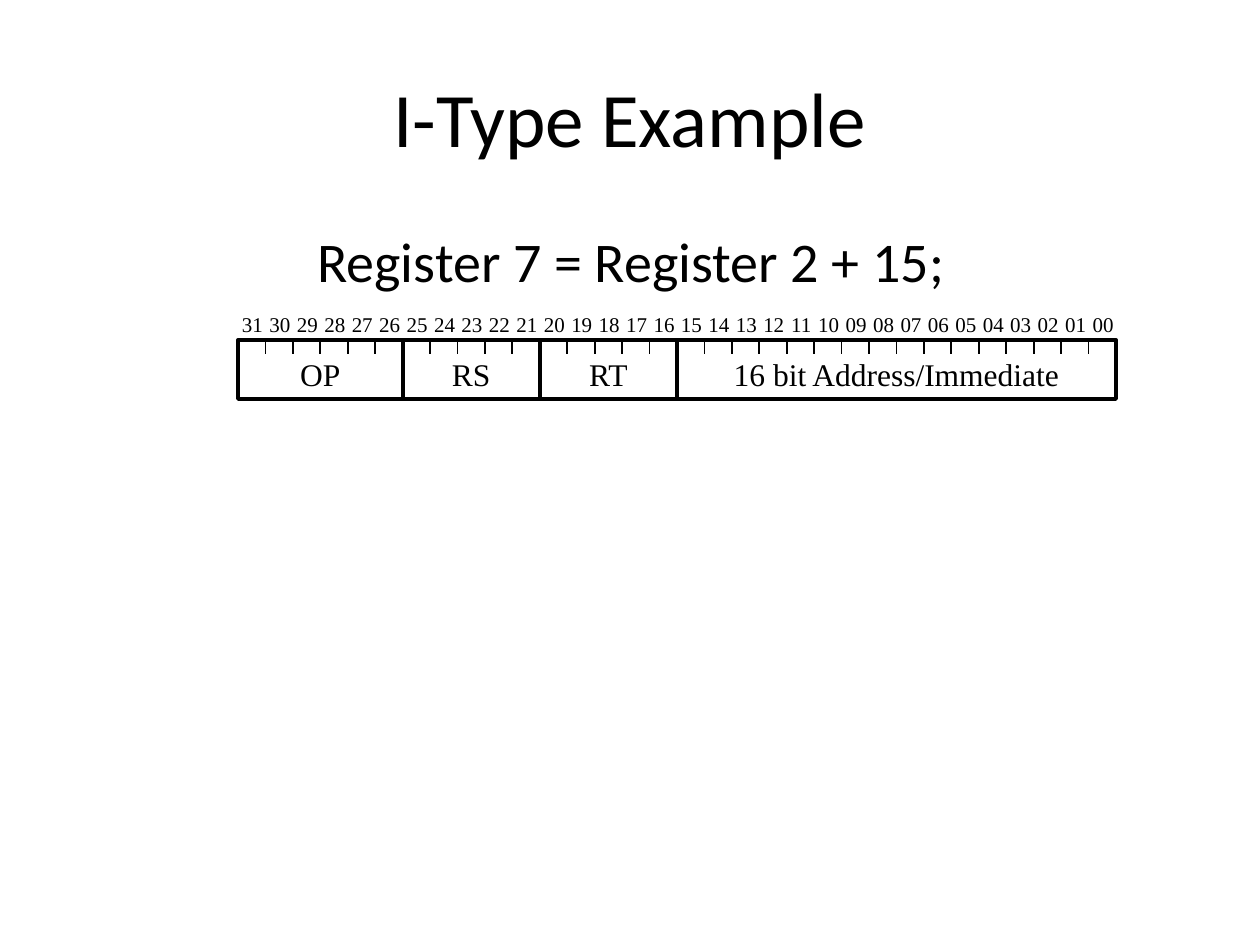
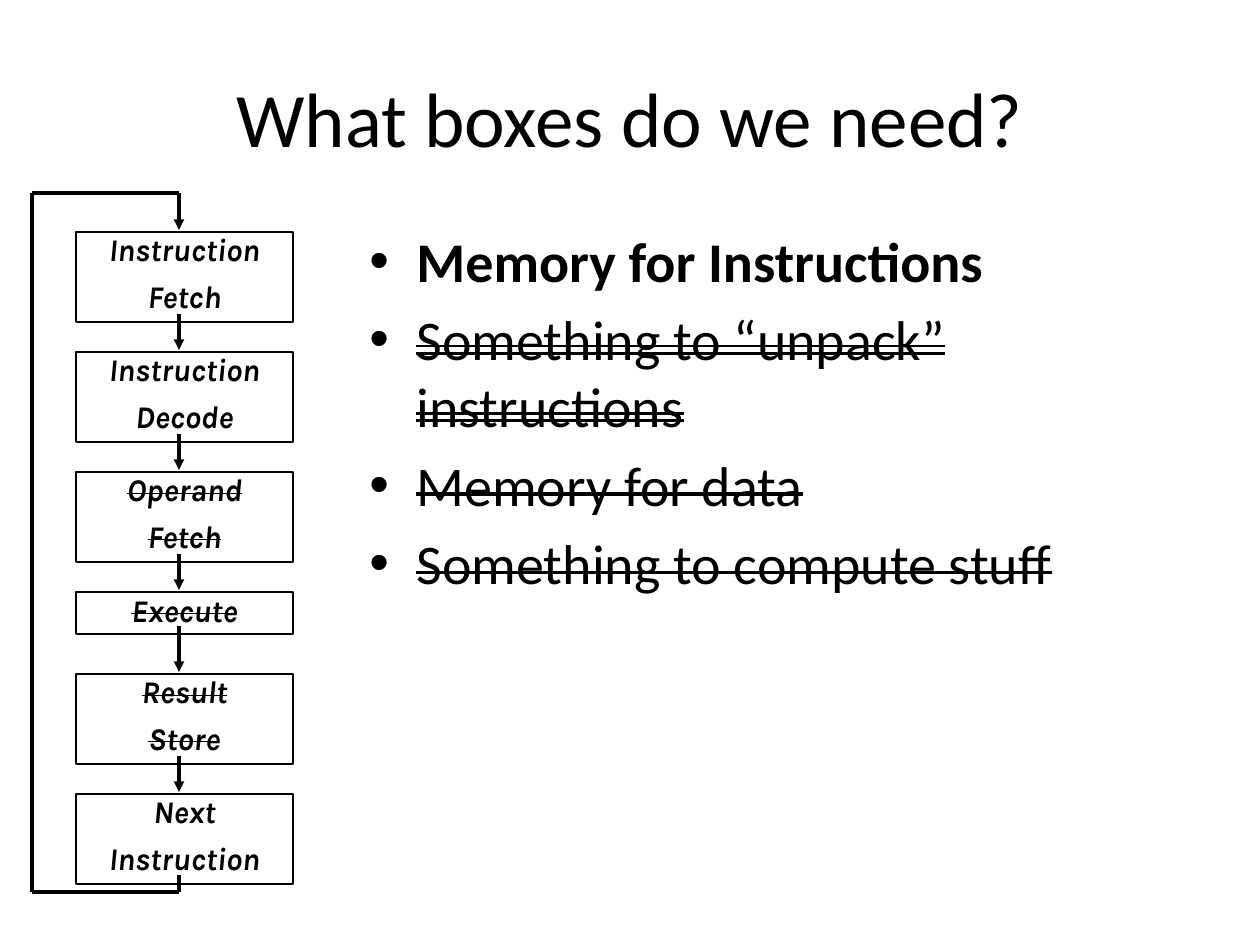
"""Build two slides: an I-type instruction layout and the instruction cycle."""
from itertools import accumulate, pairwise

from lxml.etree import SubElement
from pptx import Presentation
from pptx.dml.color import RGBColor
from pptx.enum.shapes import MSO_CONNECTOR as Connector, MSO_SHAPE as Shape
from pptx.enum.text import MSO_ANCHOR as Anchor, PP_ALIGN as Align
from pptx.oxml.ns import qn
from pptx.util import Pt

EMU_PER_PX = 914400 / 126
COLOURS = {"ink": "000000", "paper": "FFFFFF"}
BODY = {"name": "Calibri", "size": Pt(32)}
TITLE = {"name": "Calibri", "size": Pt(44)}
BIT = {"name": "Times New Roman", "size": Pt(12)}
FIELD = {"name": "Times New Roman", "size": Pt(18)}
STAGE = {"name": "Karla", "size": Pt(18), "bold": True, "italic": True}

FIELDS = [("OP", 6), ("RS", 5), ("RT", 5), ("16 bit Address/Immediate", 16)]
STAGES = [
    (["Instruction", "Fetch"], None),
    (["Instruction", "Decode"], None),
    (["Operand", "Fetch"], "sngStrike"),
    (["Execute"], "sngStrike"),
    (["Result", "Store"], "sngStrike"),
    (["Next", "Instruction"], None),
]
NEEDS = [
    ("Memory for Instructions", {"bold": True}, None),
    ("Something to “unpack” instructions", {}, "dblStrike"),
    ("Memory for data", {}, "sngStrike"),
    ("Something to compute stuff", {}, "sngStrike"),
]


def px(length):
    """Turn pixels into EMU."""
    return round(length * EMU_PER_PX)


def colour(name):
    """Return the named colour."""
    return RGBColor.from_string(COLOURS[name])


def set_attributes(target, values):
    """Set each attribute of the target from a dict."""
    for name, value in values.items():
        setattr(target, name, value)


def write(paragraph, text, font, strike=None):
    """Add a formatted run to a paragraph."""
    run = paragraph.add_run()
    run.text = text
    set_attributes(run.font, font)
    run.font.color.rgb = colour("ink")
    if strike:
        run.font._element.set("strike", strike)


def add_paragraph(frame, index, layout):
    """Return the paragraph at the index, formatted, with space only between paragraphs."""
    paragraph = frame.add_paragraph() if index else frame.paragraphs[0]
    set_attributes(paragraph, layout)
    if not index:
        paragraph.space_before = Pt(0)
    return paragraph


def add_title_slide(presentation, title):
    """Add a title-only slide."""
    slide = presentation.slides.add_slide(presentation.slide_layouts[5])
    shape = slide.shapes.title
    set_attributes(shape, {"left": px(63), "top": px(38), "width": px(1134), "height": px(157)})
    shape.text_frame.vertical_anchor = Anchor.MIDDLE
    paragraph = shape.text_frame.paragraphs[0]
    paragraph.alignment = Align.CENTER
    write(paragraph, title, TITLE)
    return slide


def add_label(slide, bounds, text, font, align=Align.CENTER, wrap=True):
    """Add a one-paragraph text box."""
    frame = slide.shapes.add_textbox(*map(px, bounds)).text_frame
    frame.word_wrap = wrap
    write(add_paragraph(frame, 0, {"alignment": align}), text, font)


def add_box(slide, bounds, width, fill=None):
    """Add an outlined rectangle."""
    shape = slide.shapes.add_shape(Shape.RECTANGLE, *map(px, bounds))
    shape.shadow.inherit = False
    if fill:
        shape.fill.solid()
        shape.fill.fore_color.rgb = colour(fill)
    else:
        shape.fill.background()
    shape.line.color.rgb = colour("ink")
    shape.line.width = Pt(width)
    return shape


def add_line(slide, start, end, width, arrow=False):
    """Add a straight line, with an arrowhead at its end if asked."""
    line = slide.shapes.add_connector(Connector.STRAIGHT, *map(px, (*start, *end)))
    line.line.color.rgb = colour("ink")
    line.line.width = Pt(width)
    if arrow:
        SubElement(line.line._get_or_add_ln(), qn("a:tailEnd"), type="triangle")
    SubElement(line._element.spPr, qn("a:effectLst"))


def add_bullets(slide, bounds, items):
    """Add a bulleted list of text, font changes and strike."""
    frame = slide.shapes.add_textbox(*map(px, bounds)).text_frame
    frame.word_wrap = True
    for index, (text, change, strike) in enumerate(items):
        paragraph = add_paragraph(frame, index, {"space_before": Pt(6.4)})
        properties = paragraph._p.get_or_add_pPr()
        properties.set("marL", str(px(47)))
        properties.set("indent", str(px(-47)))
        SubElement(properties, qn("a:buFont"), typeface="Arial")
        SubElement(properties, qn("a:buChar"), char="•")
        write(paragraph, text, BODY | change, strike)


def add_instruction_word(slide, left, top, width, height):
    """Draw a 32-bit word with its bit numbers and named fields."""
    edges = [left + width * bit / 32 for bit in range(33)]
    add_box(slide, (left, top, width, height), 2.25, "paper")
    for edge in edges:
        add_line(slide, (edge, top), (edge, top + 14), 1)
    for bit, edge in zip(range(31, -1, -1), edges):
        add_label(slide, (edge - 9, top - 35, 47, 38), f"{bit:02}", BIT, wrap=False)
    starts = accumulate((bits for _, bits in FIELDS), initial=0)
    for (name, bits), start in zip(FIELDS, starts):
        if start:
            add_line(slide, (edges[start], top), (edges[start], top + height), 2.25)
        bounds = (edges[start], top + 9, edges[start + bits] - edges[start], 50)
        add_label(slide, bounds, name, FIELD)


def add_stage(slide, bounds, words, strike):
    """Add a stage box with one word to a line."""
    frame = add_box(slide, bounds, 1).text_frame
    set_attributes(frame, {
        "word_wrap": True, "vertical_anchor": Anchor.TOP,
        "margin_left": px(9), "margin_right": px(9),
        "margin_top": px(4), "margin_bottom": px(4),
    })
    layout = {"alignment": Align.CENTER, "line_spacing": 0.86, "space_before": Pt(8)}
    for index, word in enumerate(words):
        write(add_paragraph(frame, index, layout), word, STAGE, strike)


def add_cycle(slide, left, top, width):
    """Draw the stages, the arrows between them and the loop back."""
    axis, loop_left, loop_top = 179, 32, 193
    spans = []
    for words, strike in STAGES:
        height, gap = (90, 30) if len(words) == 2 else (42, 40)
        add_stage(slide, (left, top, width, height), words, strike)
        spans.append((top, top + height))
        top += height + gap
    for (_, bottom), (next_top, _) in pairwise(spans):
        add_line(slide, (axis, bottom - 8), (axis, next_top - 2), 2, arrow=True)
    first_top, last_bottom = spans[0][0], spans[-1][1]
    loop_bottom = last_bottom + 8
    corners = [(axis, last_bottom - 9), (axis, loop_bottom), (loop_left, loop_bottom),
               (loop_left, loop_top), (axis, loop_top), (axis, first_top - 2)]
    for start, end in pairwise(corners):
        add_line(slide, start, end, 2, arrow=end == corners[-1])


def main():
    """Build and save the slides."""
    presentation = Presentation()
    set_attributes(presentation, {"slide_width": px(1260), "slide_height": px(945)})

    example = add_title_slide(presentation, "I-Type Example")
    add_label(example, (305, 220, 682, 262), "Register 7 = Register 2 + 15;", BODY, Align.LEFT)
    add_instruction_word(example, 238, 340, 878, 59)

    boxes = add_title_slide(presentation, "What boxes do we need?")
    add_bullets(boxes, (357, 220, 840, 624), NEEDS)
    add_cycle(boxes, 76, 232, 217)

    presentation.save("out.pptx")


if __name__ == "__main__":
    main()
